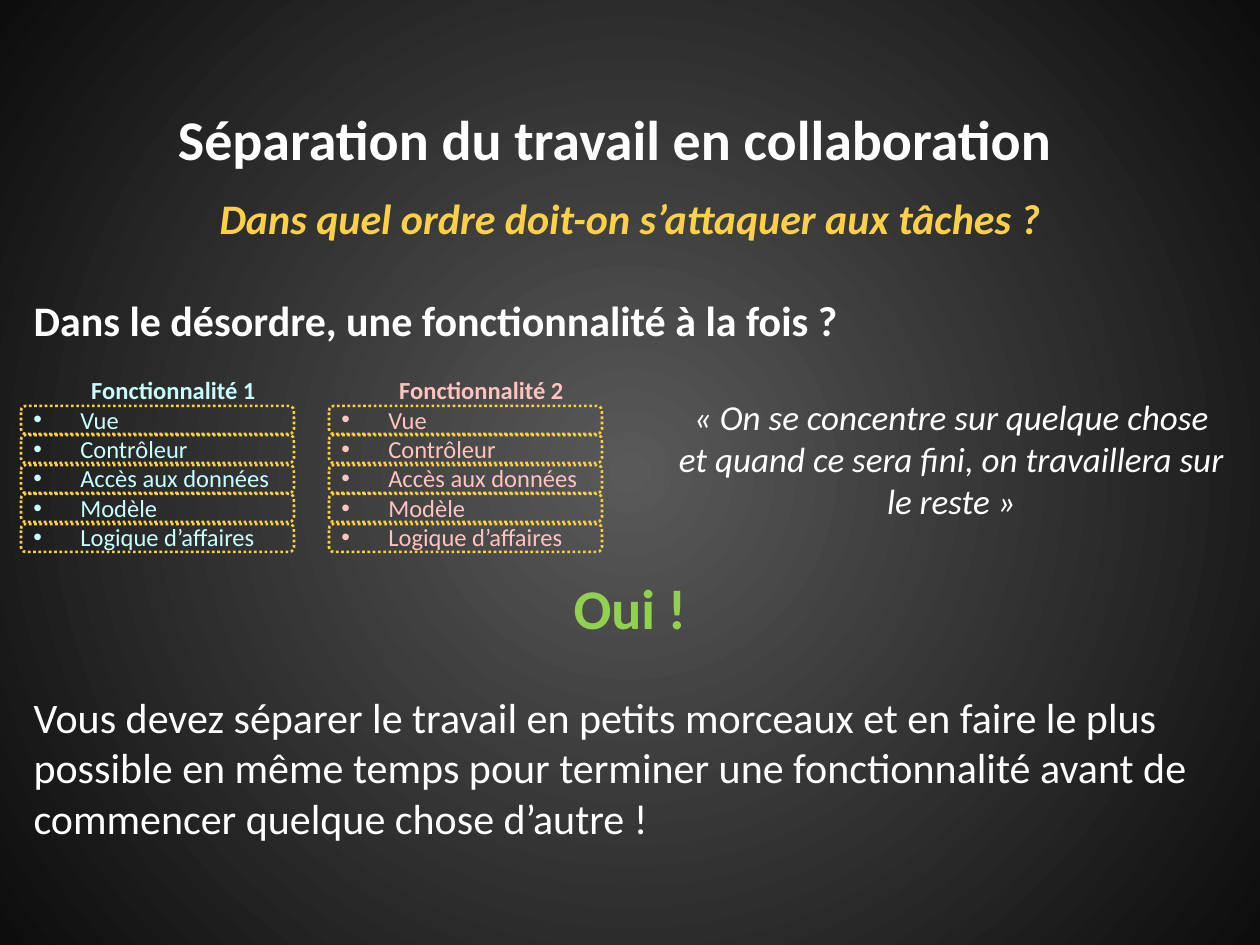
from pptx import Presentation
from pptx.dml.color import RGBColor
from pptx.enum.dml import MSO_LINE
from pptx.enum.shapes import MSO_SHAPE
from pptx.enum.text import MSO_ANCHOR, MSO_AUTO_SIZE, PP_ALIGN
from pptx.oxml import parse_xml
from pptx.oxml.ns import nsdecls
from pptx.util import Pt

ROUNDED = MSO_SHAPE.ROUNDED_RECTANGLE
DOTTED = MSO_LINE.ROUND_DOT
TOP, MIDDLE = MSO_ANCHOR.TOP, MSO_ANCHOR.MIDDLE
NO_AUTOFIT = MSO_AUTO_SIZE.NONE
LEFT, CENTER = PP_ALIGN.LEFT, PP_ALIGN.CENTER

WHITE = RGBColor(0xFF, 0xFF, 0xFF)
YELLOW = RGBColor(0xFD, 0xD1, 0x46)
GREEN = RGBColor(0x92, 0xD0, 0x50)
CYAN = RGBColor(0xC8, 0xFE, 0xFF)
PINK = RGBColor(0xFF, 0xC4, 0xBF)

EMU_PER_PX = 914400 / 126
BLANK_LINE = 29.3


def place(shape, *box):
    for name, length in zip(("left", "top", "width", "height"), box):
        setattr(shape, name, round(length * EMU_PER_PX))


def write(text_frame, lines, anchor=TOP):
    text_frame.word_wrap = True
    text_frame.auto_size = NO_AUTOFIT
    text_frame.vertical_anchor = anchor
    for index, (text, align, indent, hanging, gap, style) in enumerate(lines):
        paragraph = text_frame.add_paragraph() if index else text_frame.paragraphs[0]
        properties = paragraph._p.get_or_add_pPr()
        properties.set("marL", str(round(indent * EMU_PER_PX)))
        properties.set("indent", str(round(-hanging * EMU_PER_PX)))
        paragraph.alignment = align
        paragraph.space_before = Pt(gap)
        if hanging:
            properties.append(parse_xml(f'<a:buFont {nsdecls("a")} typeface="Arial"/>'))
            properties.append(parse_xml(f'<a:buChar {nsdecls("a")} char="•"/>'))
        run = paragraph.add_run()
        run.text = text
        run.font.name = "Calibri"
        for name, value in style.items():
            if name == "color":
                run.font.color.rgb = value
            else:
                setattr(run.font, name, value)


presentation = Presentation()
presentation.slide_width = round(1260 * EMU_PER_PX)
presentation.slide_height = round(945 * EMU_PER_PX)
slide = presentation.slides.add_slide(presentation.slide_layouts[0])
slide.element.cSld.insert(0, parse_xml(
    f'<p:bg {nsdecls("p", "a")}><p:bgPr><a:gradFill rotWithShape="1"><a:gsLst>'
    '<a:gs pos="0"><a:srgbClr val="595959"/></a:gs>'
    '<a:gs pos="100000"><a:srgbClr val="0D0D0D"/></a:gs></a:gsLst>'
    '<a:path path="circle"><a:fillToRect l="50000" t="50000" r="50000" b="50000"/></a:path>'
    '</a:gradFill><a:effectLst/></p:bgPr></p:bg>'))

title, body = slide.placeholders
place(title, -10, 86, 1250, 105)
write(title.text_frame, [
    ("Séparation du travail en collaboration", CENTER, 0, 0, 0,
     {"size": Pt(32), "bold": True, "color": WHITE}),
], MIDDLE)

place(body, 21, 186, 1218, 665)
write(body.text_frame, [
    ("Dans quel ordre doit-on s’attaquer aux tâches ?", CENTER, 0, 0, 0,
     {"size": Pt(24), "bold": True, "italic": True, "color": YELLOW}),
    ("Dans le désordre, une fonctionnalité à la fois ?", LEFT, 0, 0, BLANK_LINE,
     {"size": Pt(24), "bold": True, "color": WHITE}),
    ("« On se concentre sur quelque chose et quand ce sera fini, on travaillera sur le reste »",
     CENTER, 643, 0, BLANK_LINE, {"size": Pt(20), "italic": True, "color": WHITE}),
    ("Oui !", CENTER, 0, 0, BLANK_LINE, {"size": Pt(32), "bold": True, "color": GREEN}),
    ("Vous devez séparer le travail en petits morceaux et en faire le plus possible en même temps "
     "pour terminer une fonctionnalité avant de commencer quelque chose d’autre !",
     LEFT, 0, 0, BLANK_LINE, {"size": Pt(24), "color": WHITE}),
])

layers = ["Vue", "Contrôleur", "Accès aux données", "Modèle", "Logique d’affaires"]
features = [("Fonctionnalité 1", 21, CYAN), ("Fonctionnalité 2", 329, PINK)]
for heading, left, color in features:
    feature_list = slide.shapes.add_textbox(0, 0, 0, 0)
    place(feature_list, left, 369, 305, 190)
    style = {"size": Pt(14), "color": color}
    write(feature_list.text_frame,
          [(heading, CENTER, 0, 0, 0, {**style, "bold": True})]
          + [(layer, LEFT, 47, 47, 0, style) for layer in layers])

for _, left, _ in features:
    for row in range(len(layers)):
        frame = slide.shapes.add_shape(ROUNDED, 0, 0, 0, 0)
        place(frame, left, 406 + row * 59 // 2, 273, 28)
        frame.shadow.inherit = False
        frame.fill.background()
        frame.line.color.rgb = YELLOW
        frame.line.width = Pt(1.5)
        frame.line.dash_style = DOTTED

presentation.save("out.pptx")
